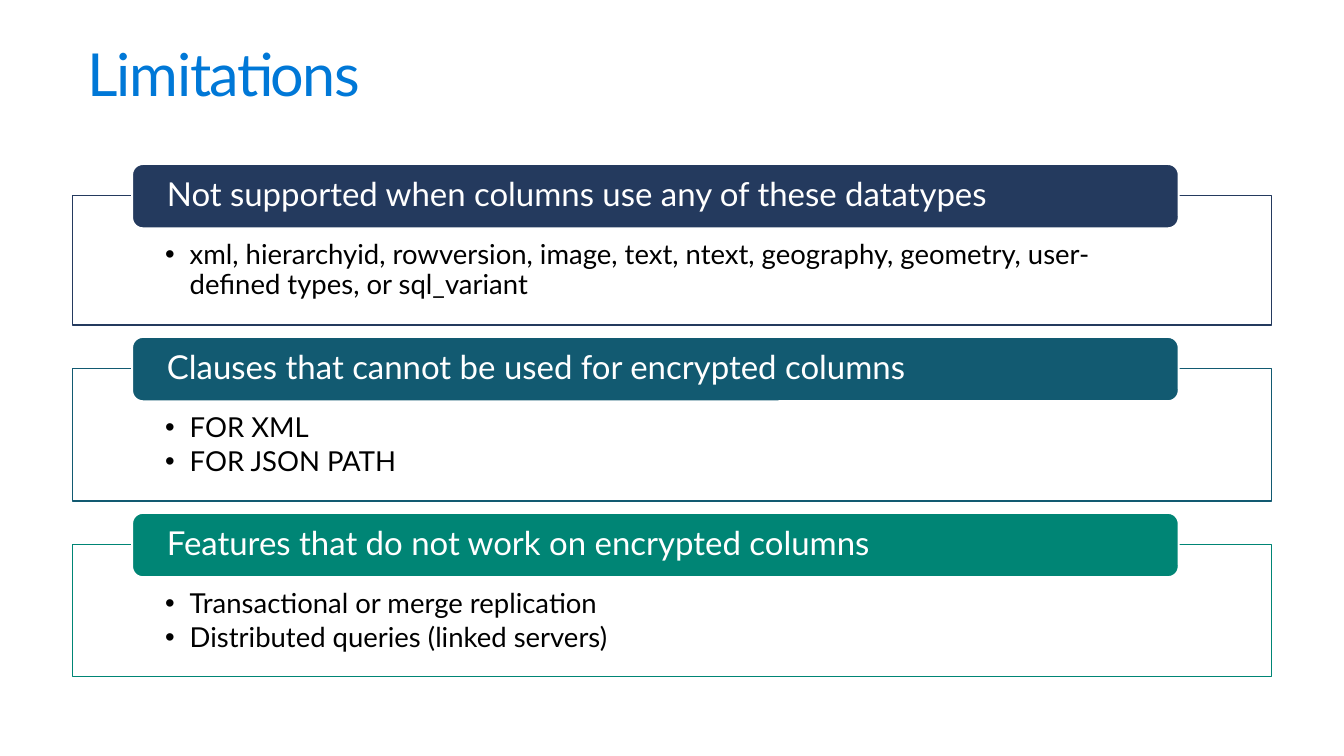
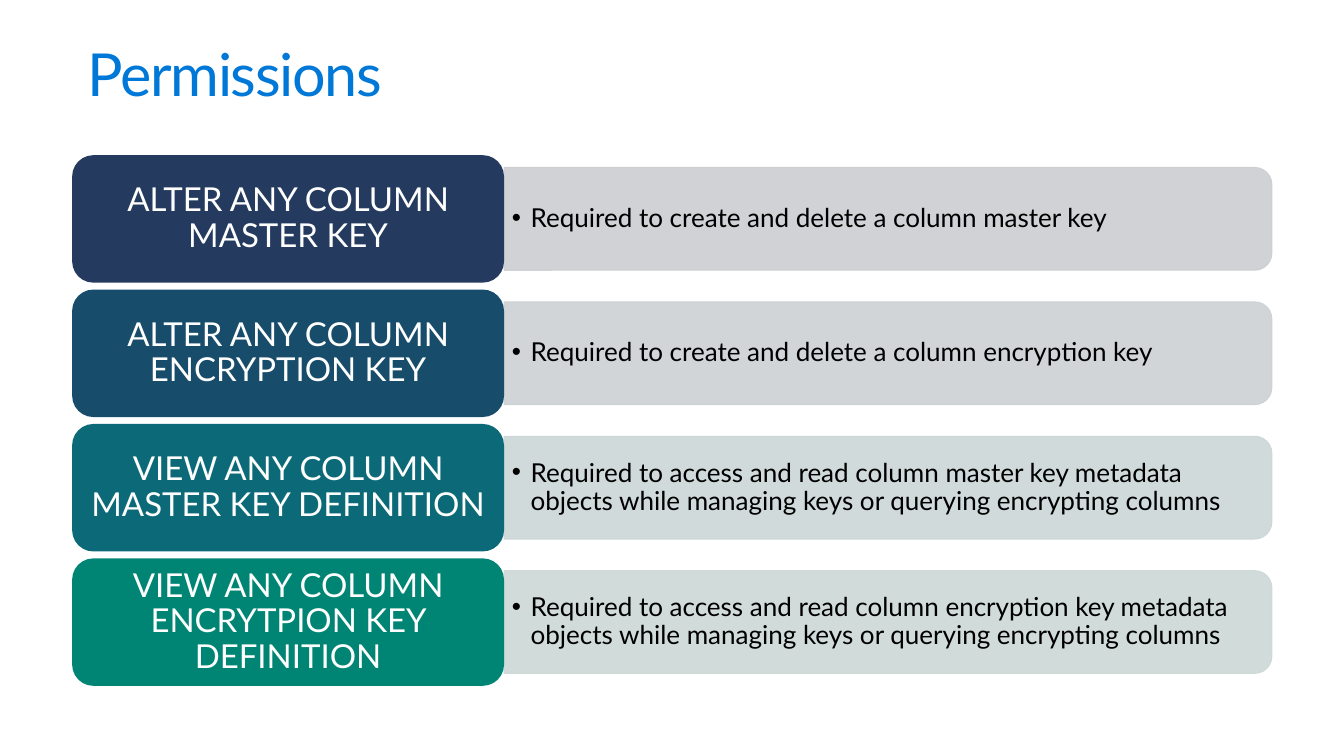
import pptx
import pptx.util
import pptx.dml.color
import pptx.enum.shapes
import pptx.enum.text
import pptx.oxml.ns
import lxml.etree

inch = pptx.util.Inches
kinds = pptx.enum.shapes.MSO_SHAPE
anchors = pptx.enum.text.MSO_ANCHOR
aligns = pptx.enum.text.PP_ALIGN
name = pptx.oxml.ns.qn

wide, tall = 13.6, 7.65
left, span = 0.73, 12.14
font = "Lato"
blue, white, black = "0078D7", "FFFFFF", "000000"
navy, green = "243A5E", "008575"


def tint(fill, color, alpha=100):
    fill.solid()
    fill.fore_color.rgb = pptx.dml.color.RGBColor.from_string(color)
    if alpha < 100:
        node = fill._xPr.find(".//" + name("a:srgbClr"))
        lxml.etree.SubElement(node, name("a:alpha"), val=str(alpha * 1000))


def block(page, kind, box, fill=None, edge=None, thick=0.75, alpha=100,
          lines=(), size=20, color=black, pads=(0.1, 0.05),
          anchor=anchors.MIDDLE, align=aligns.LEFT, dent=0, track=0):
    spot = [inch(n) for n in box]
    if kind is None:
        shape = page.shapes.add_textbox(*spot)
    else:
        shape = page.shapes.add_shape(kind, *spot)
        shape.shadow.inherit = False
    if fill:
        tint(shape.fill, fill, alpha)
    else:
        shape.fill.background()
    if edge:
        shape.line.width = pptx.util.Pt(thick)
        tint(shape.line.fill, edge, alpha if edge == fill else 100)
    else:
        shape.line.fill.background()
    frame = shape.text_frame
    frame.word_wrap = True
    frame.vertical_anchor = anchor
    frame.margin_left = frame.margin_right = inch(pads[0])
    frame.margin_top = frame.margin_bottom = inch(pads[1])
    frame.text = "\n".join(lines)
    for para in frame.paragraphs:
        para.alignment = align
        para.line_spacing = 0.9
        if dent:
            para.space_after = pptx.util.Pt(3)
            props = para._p.get_or_add_pPr()
            props.set("marL", str(inch(dent)))
            props.set("indent", str(-inch(dent)))
            lxml.etree.SubElement(props, name("a:buFont"), typeface="Arial")
            lxml.etree.SubElement(props, name("a:buChar"), char="•")
        for run in para.runs:
            run.font.name = font
            run.font.size = pptx.util.Pt(size)
            tint(run.font.fill, color)
            if track:
                run._r.get_or_add_rPr().set("spc", str(track))
    return shape


deck = pptx.Presentation()
deck.slide_width, deck.slide_height = inch(wide), inch(tall)
pages = []
for title in ("Limitations", "Permissions"):
    page = deck.slides.add_slide(deck.slide_layouts[6])
    block(page, None, (left, 0.36, span, 0.51), lines=[title], size=43.2,
          color=blue, pads=(0.16, 0.1), anchor=anchors.TOP, track=-100)
    pages.append(page)
limits, rights = pages

groups = [
    ("Not supported when columns use any of these datatypes", navy, 1.31,
     ["xml, hierarchyid, rowversion, image, text, ntext, geography, geometry, "
      "user-defined types, or sql_variant"]),
    ("Clauses that cannot be used for encrypted columns", "125A71", 1.34,
     ["FOR XML", "FOR JSON PATH"]),
    ("Features that do not work on encrypted columns", green, 1.34,
     ["Transactional or merge replication",
      "Distributed queries (linked servers)"]),
]
top, gap, lift = 1.98, 0.44, 0.32
for head, color, high, items in groups:
    block(limits, kinds.RECTANGLE, (left, top, span, high), white, color,
          0.85, 90, items, pads=(0.94, 0.46), anchor=anchors.TOP, dent=0.25)
    block(limits, kinds.ROUNDED_RECTANGLE,
          (left + span * 0.05, top - lift, 10.59, 0.65), color, white, 1.35,
          lines=[head], size=24, color=white, pads=(0.32, 0))
    top += high + gap

grants = [
    ("ALTER ANY COLUMN MASTER KEY", navy, "CDCED2",
     "Required to create and delete a column master key"),
    ("ALTER ANY COLUMN ENCRYPTION KEY", "184C6B", "CCD1D4",
     "Required to create and delete a column encryption key"),
    ("VIEW ANY COLUMN MASTER KEY DEFINITION", "0C6A78", "CCD6D7",
     "Required to access and read column master key metadata objects "
     "while managing keys or querying encrypting columns"),
    ("VIEW ANY COLUMN ENCRYTPION KEY DEFINITION", green, "CCD9D6",
     "Required to access and read column encryption key metadata objects "
     "while managing keys or querying encrypting columns"),
]
first, pitch, high, thin = 1.57, 1.36, 1.29, 1.04
key = span * 0.36
rest = span - key
start = left + key
for row, (head, color, pale, note) in enumerate(grants):
    top = first + row * pitch
    mid = top + high / 2
    bar = block(rights, kinds.ROUND_2_SAME_RECTANGLE,
                (start + (rest - thin) / 2, mid - rest / 2, thin, rest),
                pale, pale, alpha=90)
    bar.rotation = 90
    block(rights, None, (start, mid - thin / 2, rest - 0.05, thin),
          lines=[note], size=19, pads=(0.08, 0.04), dent=0.19)
    block(rights, kinds.ROUNDED_RECTANGLE, (left, top, key, high), color,
          lines=[head], size=24, color=white, align=aligns.CENTER)

deck.save("out.pptx")
